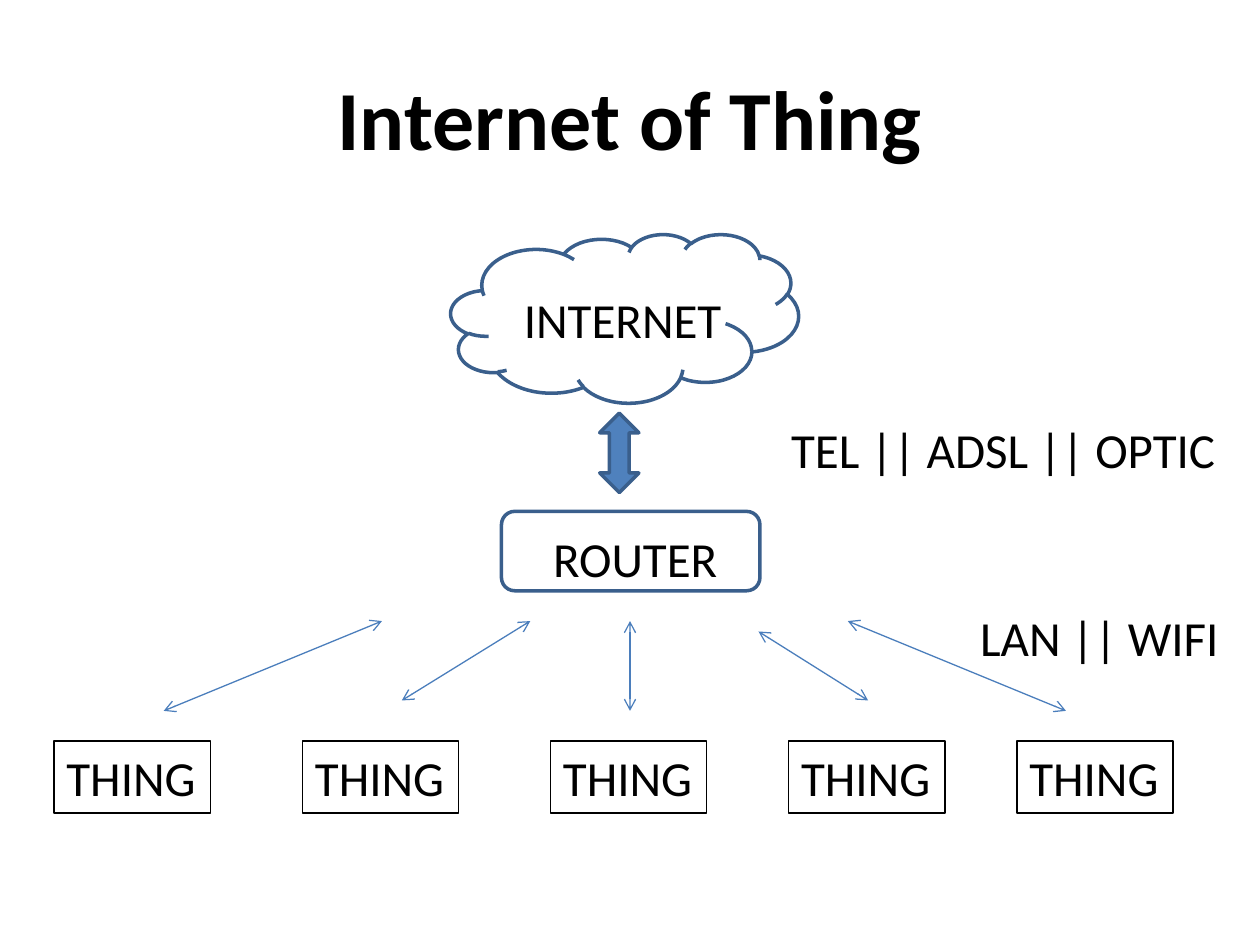
from typing import NamedTuple

import pptx
import pptx.dml.color
import pptx.enum.shapes
import pptx.enum.text
import pptx.oxml
import pptx.oxml.ns
import pptx.util
from pptx.util import Cm, Pt

SHAPE = pptx.enum.shapes.MSO_SHAPE
ANCHOR = pptx.enum.text.MSO_ANCHOR
ALIGN = pptx.enum.text.PP_ALIGN

BLACK, BLUE, DARK_BLUE, LINK_BLUE = "000000", "4F81BD", "3A5F8C", "4B7EBC"
LABEL_H = 1.45


class Box(NamedTuple):
    """Left, top, width and height in centimetres."""
    x: float
    y: float
    w: float
    h: float = LABEL_H


class Link(NamedTuple):
    """Ends of a two-headed arrow in centimetres."""
    x1: float
    y1: float
    x2: float
    y2: float


class Label(NamedTuple):
    text: str
    box: Box


def color(value: str) -> pptx.dml.color.RGBColor:
    return pptx.dml.color.RGBColor.from_string(value)


def set_line(sp, value: str, width: float) -> None:
    sp.line.color.rgb = color(value)
    sp.line.width = Pt(width)


def add_text(s, text: str, box: Box, *, size=28, bold=False, wrap=False,
             align=ALIGN.LEFT, anchor=ANCHOR.TOP, border=False):
    sp = s.shapes.add_textbox(*map(Cm, box))
    tf = sp.text_frame
    tf.word_wrap = wrap
    tf.vertical_anchor = anchor
    p = tf.paragraphs[0]
    p.alignment = align
    r = p.add_run()
    r.text = text
    r.font.name = "Calibri"
    r.font.size = Pt(size)
    r.font.bold = bold
    r.font.color.rgb = color(BLACK)
    if border:
        set_line(sp, BLACK, 0.75)
    return sp


def add_outline(s, kind, box: Box, fill: str = ""):
    sp = s.shapes.add_shape(kind, *map(Cm, box))
    sp.shadow.inherit = False
    if fill:
        sp.fill.solid()
        sp.fill.fore_color.rgb = color(fill)
    else:
        sp.fill.background()
    set_line(sp, DARK_BLUE, 2)
    return sp


def add_link(s, link: Link) -> None:
    sp = s.shapes.add_connector(pptx.enum.shapes.MSO_CONNECTOR.STRAIGHT, *map(Cm, link))
    set_line(sp, LINK_BLUE, 0.75)
    ln = sp.line._get_or_add_ln()
    for end in ("a:headEnd", "a:tailEnd"):
        pptx.oxml.xmlchemy.OxmlElement(end)
        arrow = pptx.oxml.xmlchemy.OxmlElement(end)
        arrow.set("type", "arrow")
        ln.append(arrow)
    sp._element.spPr.append(pptx.oxml.xmlchemy.OxmlElement("a:effectLst"))


THING_LEFTS = (1.09, 6.1, 11.1, 15.9, 20.5)
LINKS = (
    Link(3.3, 14.33, 7.7, 12.52),
    Link(8.1, 14.12, 10.69, 12.52),
    Link(12.7, 14.33, 12.7, 12.52),
    Link(17.5, 14.12, 15.29, 12.73),
    Link(21.49, 14.33, 17.09, 12.52),
)
LABELS = (
    Label("INTERNET", Box(10.31, 5.72, 4.55)),
    Label("ROUTER", Box(10.9, 10.52, 3.86)),
    Label("LAN || WIFI", Box(19.51, 12.12, 5.36)),
    Label("TEL || ADSL || OPTIC", Box(15.7, 8.33, 9.14)),
)


def main() -> None:
    prs = pptx.Presentation()
    prs.slide_width, prs.slide_height = Cm(25.4), Cm(19.05)
    s = prs.slides.add_slide(prs.slide_layouts[6])

    # Title
    add_text(s, "Internet of Thing", Box(1.27, 0.76, 22.86, 3.18), size=48,
             bold=True, wrap=True, align=ALIGN.CENTER, anchor=ANCHOR.MIDDLE)

    # Internet, router and the arrow between them
    add_outline(s, SHAPE.CLOUD, Box(9.09, 4.72, 7.01, 3.4))
    add_outline(s, SHAPE.ROUNDED_RECTANGLE, Box(10.11, 10.31, 5.21, 1.6))
    add_outline(s, SHAPE.UP_DOWN_ARROW, Box(12.09, 8.33, 0.79, 1.6), BLUE)

    # Things and their links to the router
    for left in THING_LEFTS:
        add_text(s, "THING", Box(left, 14.94, 3.15), border=True)
    for link in LINKS:
        add_link(s, link)

    # Labels
    for label in LABELS:
        add_text(s, label.text, label.box)

    prs.save("out.pptx")


if __name__ == "__main__":
    main()
